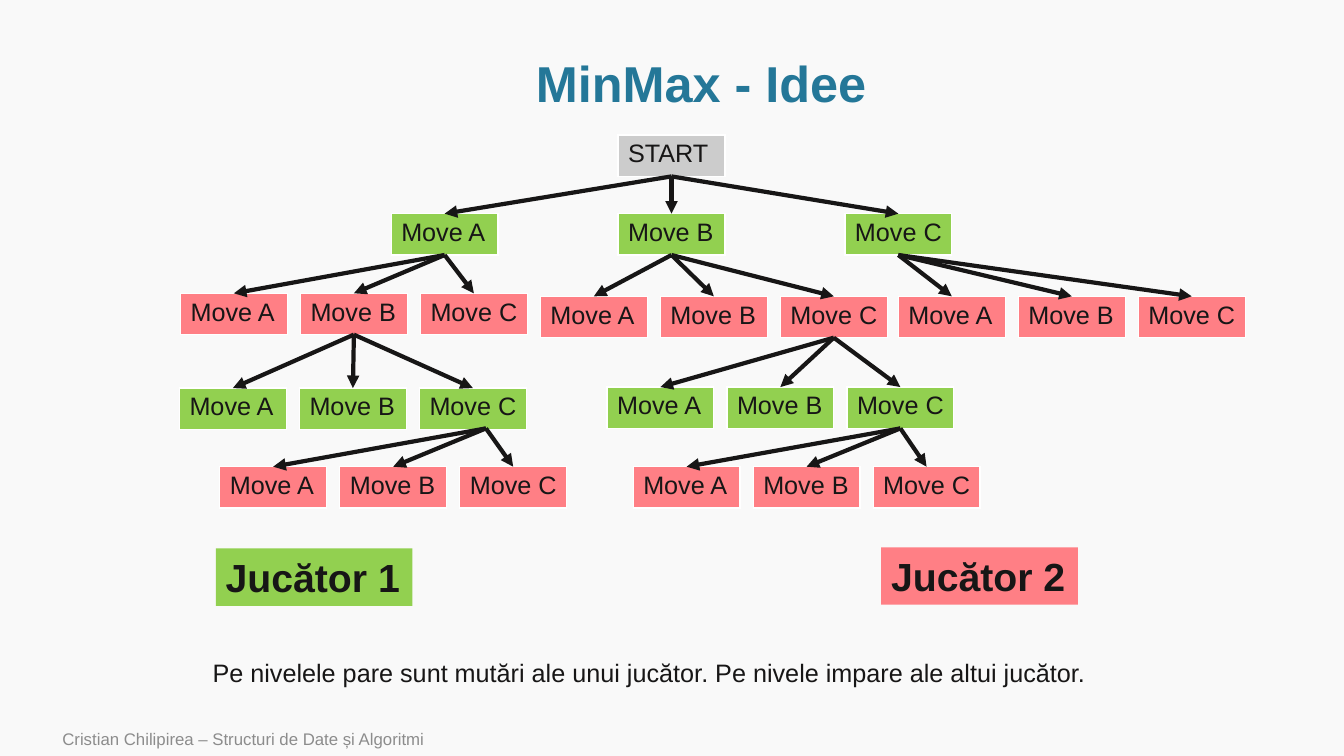
import pptx
import pptx.util
import pptx.dml.color
import pptx.enum.shapes
import pptx.enum.text
import pptx.oxml
import pptx.oxml.ns
from lxml import etree

Inches = pptx.util.Inches
Pt = pptx.util.Pt
ALIGN = pptx.enum.text.PP_ALIGN
ANCHOR = pptx.enum.text.MSO_ANCHOR

COLORS = {
    "background": "F9F9F9",
    "title": "247798",
    "text": "171616",
    "footer": "8C8C8C",
    "start": "CCCCCC",
    "player1": "92D050",
    "player2": "FF7F85",
    "border": "FFFFFF",
}
NODE_W, NODE_H = 1.06, 0.41
MOVE_STEP = 1.19


def rgb(name):
    return pptx.dml.color.RGBColor.from_string(COLORS[name])


def set_fill(target, name):
    target.fill.solid()
    target.fill.fore_color.rgb = rgb(name)


def write_text(tf, text, size=18, color="text", bold=False, align=ALIGN.LEFT,
               spacing=None):
    p = tf.paragraphs[0]
    p.alignment = align
    if spacing:
        p.line_spacing = spacing
    r = p.add_run()
    r.text = text
    r.font.name = "Arial"
    r.font.size = Pt(size)
    r.font.bold = bold
    r.font.color.rgb = rgb(color)


def add_text(slide, box, text, wrap=True, anchor=ANCHOR.TOP, **fmt):
    sp = slide.shapes.add_textbox(*map(Inches, box))
    tf = sp.text_frame
    tf.word_wrap = wrap
    tf.vertical_anchor = anchor
    write_text(tf, text, **fmt)


def add_player(slide, left, top, text, fill):
    sp = slide.shapes.add_shape(pptx.enum.shapes.MSO_SHAPE.RECTANGLE,
                                *map(Inches, (left, top, 1.95, 0.57)))
    sp.shadow.inherit = False
    sp.line.fill.background()
    set_fill(sp, fill)
    tf = sp.text_frame
    tf.word_wrap = False
    tf.vertical_anchor = ANCHOR.TOP
    write_text(tf, text, size=28, bold=True)


def add_borders(cell):
    tc_pr = cell._tc.get_or_add_tcPr()
    for side in ("a:lnL", "a:lnR", "a:lnT", "a:lnB"):
        ln = etree.SubElement(tc_pr, pptx.oxml.ns.qn(side), w=str(Pt(1)))
        solid = etree.SubElement(ln, pptx.oxml.ns.qn("a:solidFill"))
        etree.SubElement(solid, pptx.oxml.ns.qn("a:srgbClr"), val=COLORS["border"])


def add_node(slide, left, top, text, fill):
    """Draw a one-cell table and return the middle of its bottom edge."""
    frame = slide.shapes.add_table(1, 1, *map(Inches, (left, top, NODE_W, NODE_H)))
    table = frame.table
    table.first_row = False
    table.horz_banding = False
    cell = table.cell(0, 0)
    cell.margin_right = Inches(0.02)
    add_borders(cell)
    set_fill(cell, fill)
    write_text(cell.text_frame, text)
    return left + NODE_W / 2, top + NODE_H


def add_arrow(slide, start, end):
    cx = slide.shapes.add_connector(pptx.enum.shapes.MSO_CONNECTOR.STRAIGHT,
                                    *map(Inches, (*start, *end)))
    cx.line.color.rgb = rgb("text")
    cx.line.width = Pt(3)
    etree.SubElement(cx.line._get_or_add_ln(), pptx.oxml.ns.qn("a:tailEnd"),
                     type="triangle")
    etree.SubElement(cx._element.spPr, pptx.oxml.ns.qn("a:effectLst"))


def add_moves(slide, parent, left, top, fill, step=MOVE_STEP):
    """Draw moves A to C below a parent point; return their bottom points."""
    bottoms = []
    for i, letter in enumerate("ABC"):
        x = left + i * step
        bottoms.append(add_node(slide, x, top, f"Move {letter}", fill))
        add_arrow(slide, parent, (x + NODE_W / 2, top))
    return bottoms


def add_tree(slide):
    start = add_node(slide, 6.13, 1.34, "START", "start")
    a, b, c = add_moves(slide, start, 3.88, 2.12, "player1", step=2.25)
    _, ab, _ = add_moves(slide, a, 1.79, 2.91, "player2")
    _, _, bc = add_moves(slide, b, 5.36, 2.94, "player2")
    add_moves(slide, c, 8.91, 2.94, "player2")
    add_moves(slide, ab, 1.78, 3.85, "player1")
    _, _, bcc = add_moves(slide, bc, 6.02, 3.84, "player1")
    add_moves(slide, (4.82, 4.25), 2.18, 4.63, "player2")
    add_moves(slide, bcc, 6.28, 4.63, "player2")


def main():
    prs = pptx.Presentation()
    prs.slide_width, prs.slide_height = Inches(13.33), Inches(7.5)
    slide = prs.slides.add_slide(prs.slide_layouts[6])
    set_fill(slide.background, "background")

    add_text(slide, (1.14, 0.51, 11.63, 0.69), "MinMax - Idee", size=36,
             color="title", bold=True, align=ALIGN.CENTER, spacing=0.9,
             anchor=ANCHOR.MIDDLE)
    add_tree(slide)
    add_player(slide, 2.14, 5.44, "Jucător 1", "player1")
    add_player(slide, 8.74, 5.43, "Jucător 2", "player2")
    add_text(slide, (2.01, 6.47, 8.94, 0.4),
             "Pe nivelele pare sunt mutări ale unui jucător. "
             "Pe nivele impare ale altui jucător.", wrap=False)
    add_text(slide, (0.52, 7.16, 8.4, 0.34),
             "Cristian Chilipirea – Structuri de Date și Algoritmi",
             size=12, color="footer", anchor=ANCHOR.MIDDLE)
    prs.save("out.pptx")


if __name__ == "__main__":
    main()
